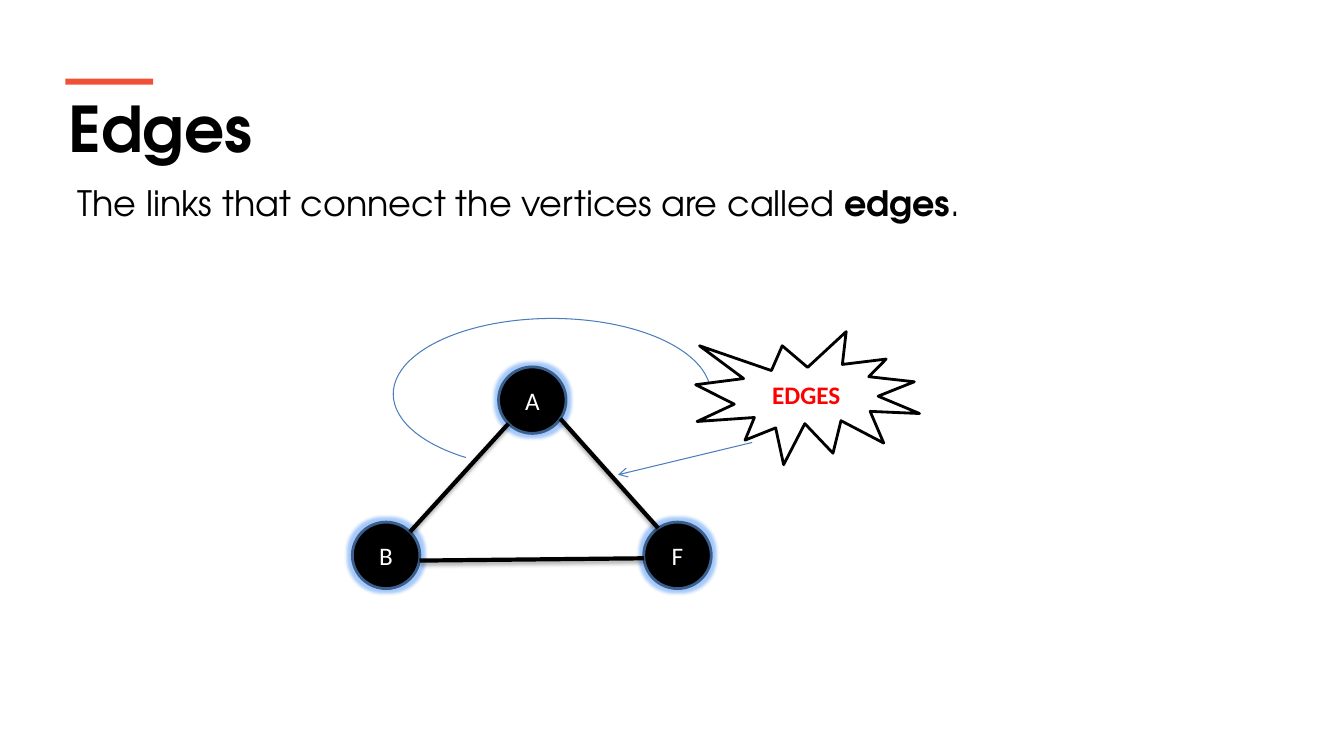
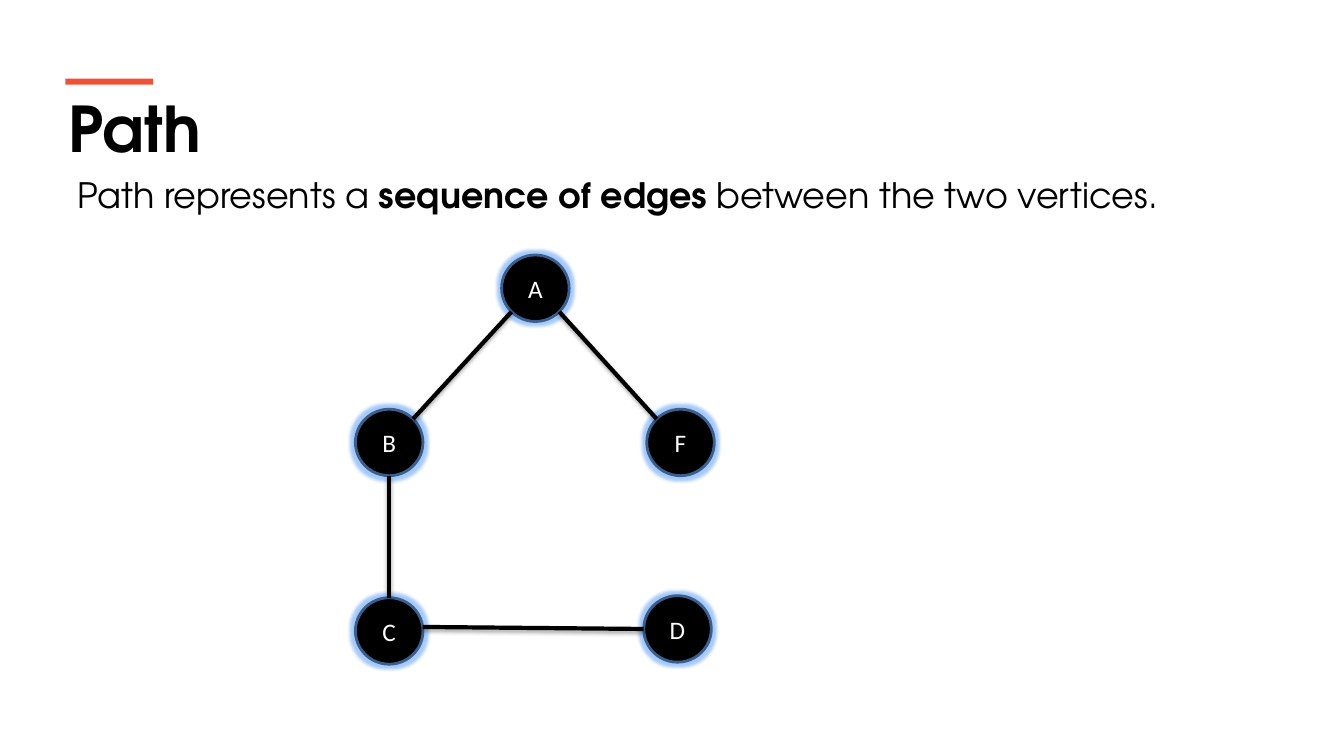
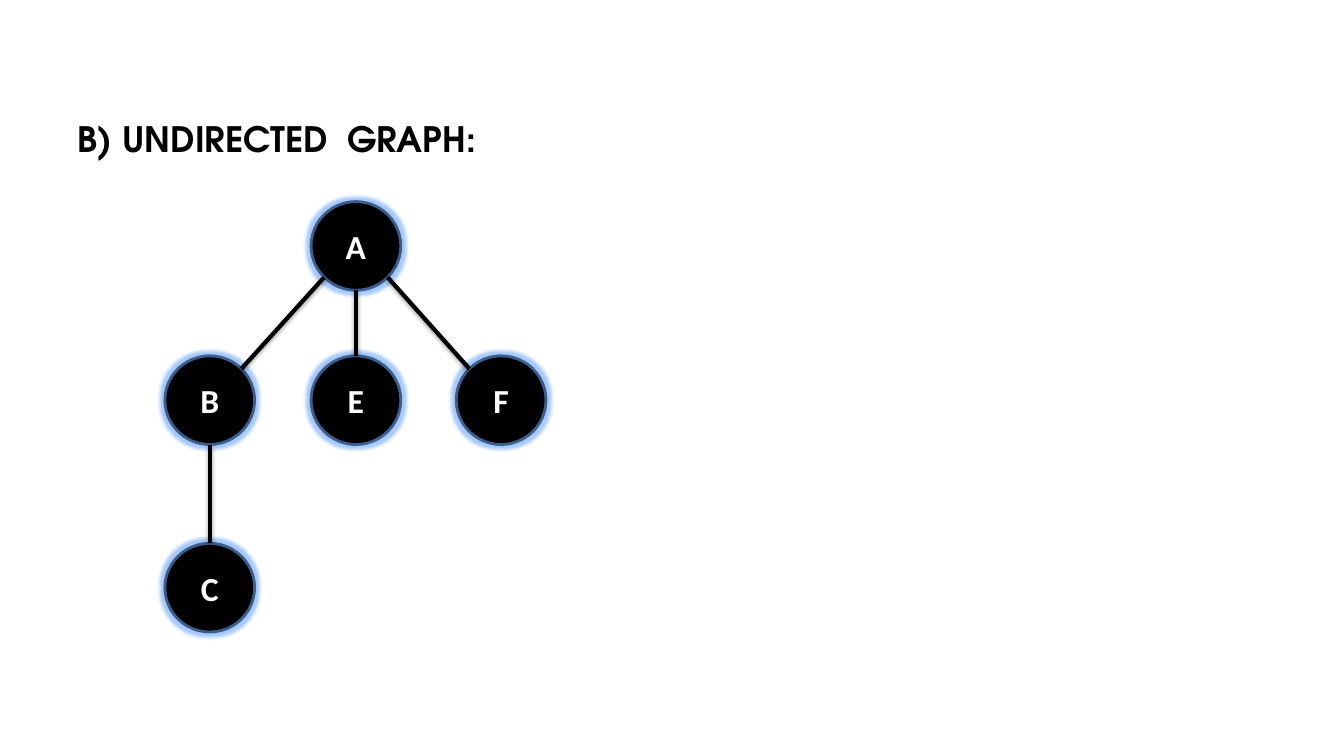
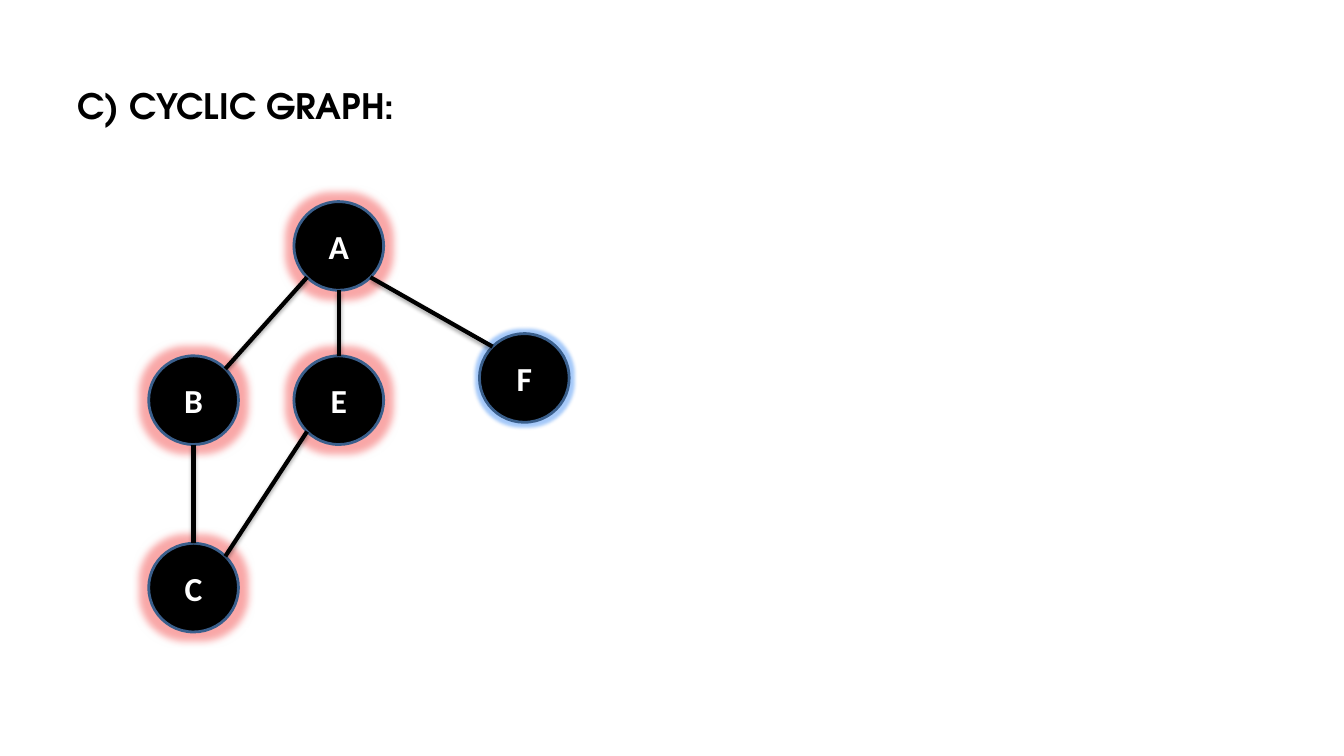
import math
import pptx
import pptx.util
import pptx.dml.color
import pptx.enum.shapes
import pptx.enum.text
import pptx.oxml.ns
from lxml import etree

Inches = pptx.util.Inches
Pt = pptx.util.Pt
RGBColor = pptx.dml.color.RGBColor
SHAPE = pptx.enum.shapes.MSO_SHAPE
STRAIGHT = pptx.enum.shapes.MSO_CONNECTOR.STRAIGHT
ALIGN = pptx.enum.text.PP_ALIGN
MIDDLE = pptx.enum.text.MSO_ANCHOR.MIDDLE
qn = pptx.oxml.ns.qn

# Shared style
BLACK = RGBColor(0x00, 0x00, 0x00)
WHITE = RGBColor(0xFF, 0xFF, 0xFF)
RED = RGBColor(0xFF, 0x00, 0x00)
BAR = RGBColor(0xF0, 0x51, 0x36)
RIM = RGBColor(0x3A, 0x5F, 0x8C)
BLUE = RGBColor(0x4B, 0x7E, 0xBC)
COOL = RGBColor(0x20, 0x7A, 0xF2)
WARM = RGBColor(0xF0, 0x25, 0x25)
HEAD = "TeX Gyre Adventor"
LABEL = "Calibri"

# Nodes: name -> centre. Edges: node, angle, node, angle (clockwise from the right).
PAGES = [
    {"title": "Edges", "top": 1.75, "size": (0.67, 0.66), "pt": 18, "bold": False,
     "text": [("The links that connect the vertices are called ", False),
              ("edges", True), (".", False)],
     "nodes": {"A": (5.28, 3.97), "B": (3.83, 5.51), "F": (6.72, 5.51)},
     "edges": [("A", 34, "F", 235), ("B", 315, "A", 135), ("B", 9, "F", 175)]},
    {"title": "Path", "top": 1.67, "size": (0.67, 0.66), "pt": 18, "bold": False,
     "text": [("Path represents a ", False), ("sequence of edges ", True),
              ("between the two vertices.", False)],
     "nodes": {"A": (5.31, 2.86), "B": (3.86, 4.39), "F": (6.75, 4.39),
               "C": (3.86, 6.26), "D": (6.72, 6.24)},
     "edges": [("A", 45, "F", 225), ("B", 315, "A", 135), ("B", 90, "C", 270),
               ("C", 353, "D", 180)]},
    {"top": 1.12, "size": (0.89, 0.88), "pt": 24, "bold": True,
     "text": [("B) UNDIRECTED  GRAPH:", True)],
     "nodes": {"A": (3.53, 2.44), "B": (2.08, 3.97), "E": (3.53, 3.97),
               "F": (4.97, 3.97), "C": (2.08, 5.83)},
     "edges": [("A", 45, "F", 225), ("B", 315, "A", 135), ("A", 90, "E", 270),
               ("B", 90, "C", 270)]},
    {"top": 0.79, "size": (0.89, 0.88), "pt": 24, "bold": True, "cycle": "ABEC",
     "text": [("C) CYCLIC GRAPH:", True)],
     "nodes": {"A": (3.36, 2.44), "B": (1.92, 3.97), "E": (3.36, 3.97),
               "F": (5.2, 3.75), "C": (1.92, 5.83)},
     "edges": [("A", 45, "F", 225), ("B", 315, "A", 135), ("A", 90, "E", 270),
               ("B", 90, "C", 270), ("E", 135, "C", 315)]},
]


def write(shape, runs, face, size, color):
    """Write (text, bold) runs into the first paragraph of a shape."""
    shape.text_frame.word_wrap = True
    para = shape.text_frame.paragraphs[0]
    for text, bold in runs:
        run = para.add_run()
        run.text = text
        font = run.font
        font.name, font.size, font.bold = face, Pt(size), bold
        font.color.rgb = color
    return para


def effect(shape, kind="", color=BLACK, alpha=0, **attrs):
    """Replace the theme's effects by one effect, or by none."""
    props = shape.element.spPr
    for old in props.findall(qn("a:effectLst")):
        props.remove(old)
    group = etree.SubElement(props, qn("a:effectLst"))
    if kind:
        part = etree.SubElement(group, qn("a:" + kind),
                                {key: str(val) for key, val in attrs.items()})
        tone = etree.SubElement(part, qn("a:srgbClr"), val=str(color))
        etree.SubElement(tone, qn("a:alpha"), val=str(alpha * 1000))


deck = pptx.Presentation()
deck.slide_width, deck.slide_height = Inches(13.33), Inches(7.5)

for page in PAGES:
    slide = deck.slides.add_slide(deck.slide_layouts[6])
    shapes = slide.shapes

    # Body text
    top = page["top"]
    body = shapes.add_textbox(Inches(0.67), Inches(top), Inches(12), Inches(6.7 - top))
    write(body, page["text"], HEAD, 25, BLACK)

    # Title and accent bar
    if "title" in page:
        title = shapes.add_textbox(Inches(0.58), Inches(0.84), Inches(12.18), Inches(0.86))
        write(title, [(page["title"], True)], HEAD, 45, BLACK)
        bar = shapes.add_shape(SHAPE.RECTANGLE, Inches(0.65), Inches(0.78),
                               Inches(0.87), Inches(0.06))
        bar.fill.solid()
        bar.fill.fore_color.rgb = BAR
        bar.line.fill.background()
        bar.shadow.inherit = False

    # Nodes
    wide, high = page["size"]
    for name, (x, y) in page["nodes"].items():
        node = shapes.add_shape(SHAPE.OVAL, Inches(x - wide / 2), Inches(y - high / 2),
                                Inches(wide), Inches(high))
        node.fill.solid()
        node.fill.fore_color.rgb = BLACK
        node.line.color.rgb = RIM
        node.line.width = Pt(2)
        hot = name in page.get("cycle", "")
        effect(node, "glow", WARM if hot else COOL, 40, rad=Pt(11 if hot else 5))
        node.text_frame.vertical_anchor = MIDDLE
        para = write(node, [(name, page["bold"])], LABEL, page["pt"], WHITE)
        para.alignment = ALIGN.CENTER

    # Edges run from rim to rim
    for start, out, end, back in page["edges"]:
        ends = []
        for name, turn in ((start, out), (end, back)):
            x, y = page["nodes"][name]
            ends.append(Inches(x + wide / 2 * math.cos(math.radians(turn))))
            ends.append(Inches(y + high / 2 * math.sin(math.radians(turn))))
        edge = shapes.add_connector(STRAIGHT, *ends)
        edge.line.color.rgb = BLACK
        edge.line.width = Pt(3)
        effect(edge, "outerShdw", BLACK, 35, blurRad=Pt(3.1), dist=Pt(1.8),
               dir=90 * 60000, rotWithShape=0)

# Callout on the first slide: arc, arrow and burst
shapes = deck.slides[0].shapes
arc = shapes.add_shape(SHAPE.ARC, Inches(3.9), Inches(3.16), Inches(3.15), Inches(1.5))
arc.adjustments[0], arc.adjustments[1] = 86.17, 0
arc.fill.background()
arrow = shapes.add_connector(STRAIGHT, Inches(7.46), Inches(4.39), Inches(6.13), Inches(4.71))
for line in (arc, arrow):
    line.line.color.rgb = BLUE
    line.line.width = Pt(0.75)
    effect(line)
etree.SubElement(arrow.line._get_or_add_ln(), qn("a:tailEnd"), type="arrow")

burst = shapes.add_shape(SHAPE.EXPLOSION1, Inches(6.9), Inches(3.29), Inches(2.22), Inches(1.32))
burst.fill.solid()
burst.fill.fore_color.rgb = WHITE
burst.line.color.rgb = BLACK
burst.line.width = Pt(2)
burst.shadow.inherit = False
burst.text_frame.vertical_anchor = MIDDLE
write(burst, [("EDGES", True)], LABEL, 18, RED).alignment = ALIGN.CENTER

deck.save("out.pptx")
